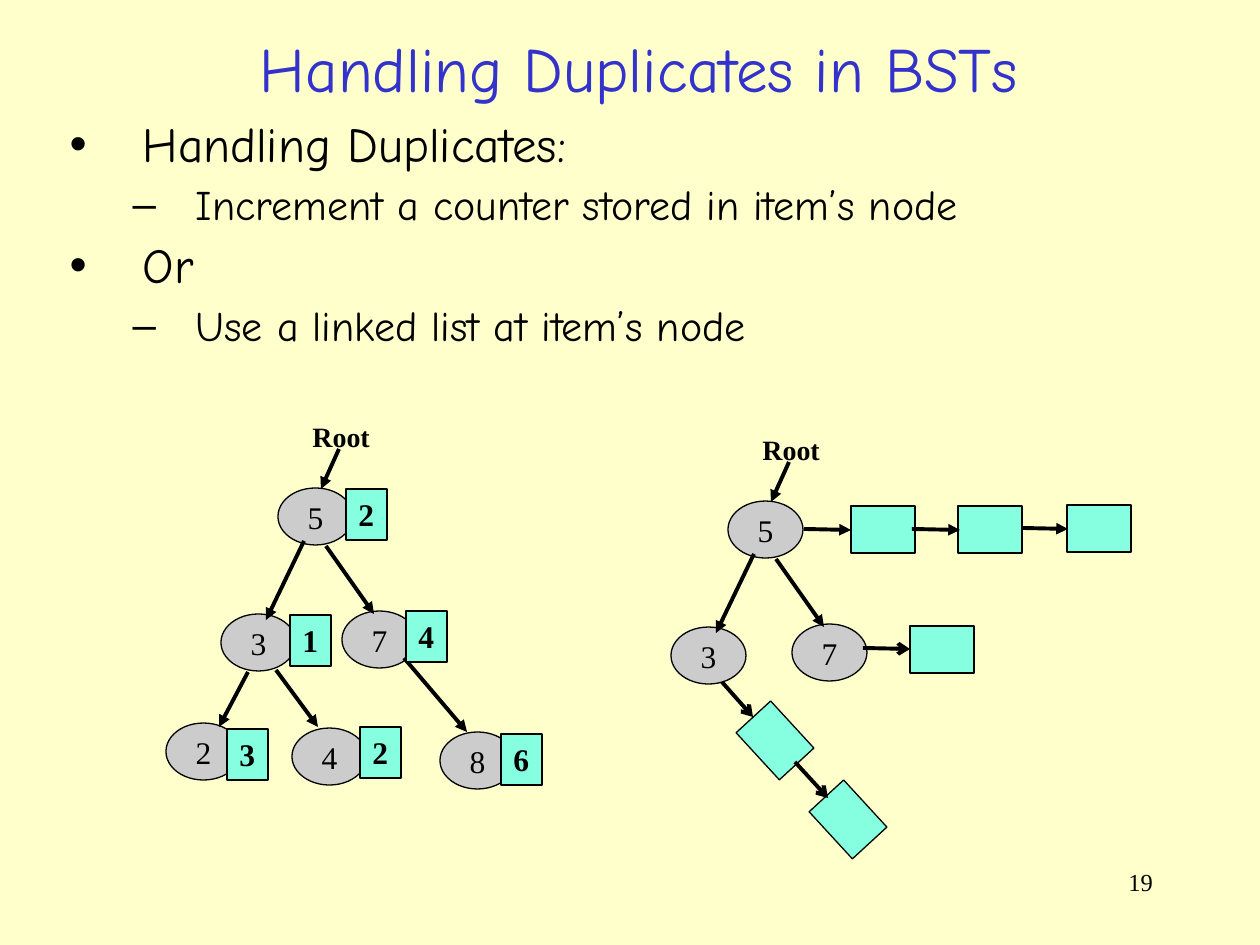
"""Build a slide on two ways to store duplicates in binary search trees."""
import pptx
import pptx.util
import pptx.dml.color
import pptx.enum.shapes
import pptx.enum.text
import pptx.oxml
import pptx.oxml.ns

COLORS = {"back": "FFFFCC", "title": "3333CC", "ink": "000000",
          "node": "CCCCCC", "box": "85FFE0"}
SHAPE = pptx.enum.shapes.MSO_SHAPE
ALIGN = pptx.enum.text.PP_ALIGN
ANCHOR = pptx.enum.text.MSO_ANCHOR
FIT = pptx.enum.text.MSO_AUTO_SIZE
HEAD, SERIF = "Comic Neue", "Times New Roman"


def px(n):
    """Turn pixels into EMU."""
    return pptx.util.Emu(round(n * 914400 / 126))


def rgb(name):
    """Look up a named colour."""
    return pptx.dml.color.RGBColor.from_string(COLORS[name])


def apply(obj, values):
    """Set every attribute in a dict."""
    for name, value in values.items():
        setattr(obj, name, value)


def element(parent, tag, **attrs):
    """Append a DrawingML element."""
    el = pptx.oxml.parse_xml(f"<{tag} {pptx.oxml.ns.nsdecls('a')}/>")
    for name, value in attrs.items():
        el.set(name, value)
    parent.append(el)
    return el


class Deck:
    """Hold the style and the current slide."""

    def __init__(self):
        """Open a presentation with one titled slide."""
        self.prs = pptx.Presentation()
        apply(self.prs, {"slide_width": px(1260), "slide_height": px(945)})
        self.s = self.prs.slides.add_slide(self.prs.slide_layouts[1])
        fill = self.s.background.fill
        fill.solid()
        fill.fore_color.rgb = rgb("back")

    def place(self, sp, x, y, w, h):
        """Position a shape."""
        apply(sp, {"left": px(x), "top": px(y), "width": px(w), "height": px(h)})

    def run(self, p, text, size, font=SERIF, color="ink", bold=False):
        """Add a formatted run."""
        r = p.add_run()
        r.text = text
        apply(r.font, {"size": pptx.util.Pt(size), "name": font, "bold": bold})
        r.font.color.rgb = rgb(color)

    def title(self, text, *at):
        """Fill the title placeholder."""
        sp = self.s.shapes.title
        self.place(sp, *at)
        tf = sp.text_frame
        apply(tf, {"vertical_anchor": ANCHOR.MIDDLE, "auto_size": FIT.NONE})
        tf.paragraphs[0].alignment = ALIGN.CENTER
        self.run(tf.paragraphs[0], text, 36, HEAD, "title")

    def bullets(self, items, *at):
        """Fill the body placeholder with two-level bullets."""
        levels = [{"char": "•", "size": 28, "margin": 73, "hang": 73, "before": 7},
                  {"char": "–", "size": 24, "margin": 126, "hang": 63, "before": 6}]
        sp = self.s.placeholders[1]
        self.place(sp, *at)
        tf = sp.text_frame
        apply(tf, {"vertical_anchor": ANCHOR.TOP, "auto_size": FIT.NONE})
        for i, (level, text) in enumerate(items):
            look = levels[level]
            p = tf.add_paragraph() if i else tf.paragraphs[0]
            pPr = p._p.get_or_add_pPr()
            pPr.set("marL", str(px(look["margin"])))
            pPr.set("indent", str(-px(look["hang"])))
            element(element(pPr, "a:buClr"), "a:srgbClr", val=COLORS["ink"])
            element(pPr, "a:buChar", char=look["char"])
            apply(p, {"level": level, "line_spacing": 0.9, "alignment": ALIGN.LEFT,
                      "space_before": pptx.util.Pt(look["before"] if i else 0)})
            self.run(p, text, look["size"], HEAD)

    def label(self, text, size, bold, align, *at):
        """Add a one-line text box without a right inset."""
        tf = self.s.shapes.add_textbox(*map(px, at)).text_frame
        apply(tf, {"word_wrap": True, "margin_right": 0, "auto_size": FIT.NONE})
        tf.paragraphs[0].alignment = align
        self.run(tf.paragraphs[0], text, size, bold=bold)

    def shape(self, kind, color, *at):
        """Add a filled, outlined shape."""
        sp = self.s.shapes.add_shape(kind, *map(px, at))
        sp.shadow.inherit = False
        sp.fill.solid()
        sp.fill.fore_color.rgb = rgb(color)
        sp.line.color.rgb = rgb("ink")
        sp.line.width = pptx.util.Pt(0.75)
        return sp

    def node(self, key, x, y):
        """Add a tree node."""
        tf = self.shape(SHAPE.OVAL, "node", x, y, 75, 57).text_frame
        apply(tf, {"word_wrap": False, "vertical_anchor": ANCHOR.MIDDLE})
        tf.paragraphs[0].alignment = ALIGN.CENTER
        self.run(tf.paragraphs[0], key, 18)

    def counter(self, count, x, y):
        """Add a duplicate counter."""
        tf = self.shape(SHAPE.RECTANGLE, "box", x, y, 41, 51).text_frame
        apply(tf, {"word_wrap": False, "vertical_anchor": ANCHOR.TOP})
        tf.paragraphs[0].alignment = ALIGN.LEFT
        self.run(tf.paragraphs[0], count, 18, bold=True)

    def item(self, x, y, angle=0):
        """Add a linked list item."""
        self.shape(SHAPE.RECTANGLE, "box", x, y, 64, 47).rotation = angle

    def arrow(self, x1, y1, x2, y2, head="triangle"):
        """Add an arrow."""
        kind = pptx.enum.shapes.MSO_CONNECTOR.STRAIGHT
        sp = self.s.shapes.add_connector(kind, *map(px, (x1, y1, x2, y2)))
        sp.line.color.rgb = rgb("ink")
        sp.line.width = pptx.util.Pt(2.25)
        element(sp.line._get_or_add_ln(), "a:tailEnd", type=head)
        element(sp._element.spPr, "a:effectLst")

    def tree_top(self, dx, dy):
        """Add the root, its two children and their arrows."""
        for key, x, y in [("5", 278, 488), ("3", 221, 614), ("7", 342, 611)]:
            self.node(key, x + dx, y + dy)
        for x1, y1, x2, y2 in [(304, 541, 266, 620), (326, 546, 374, 614),
                               (339, 449, 321, 489)]:
            self.arrow(x1 + dx, y1 + dy, x2 + dx, y2 + dy)
        self.label("Root", 16, True, ALIGN.LEFT, 300 + dx, 413 + dy, 82, 47)


def main():
    """Build and save the slide."""
    deck = Deck()
    deck.label("19", 14, False, ALIGN.RIGHT, 903, 861, 250, 63)
    deck.title("Handling Duplicates in BSTs", 38, 19, 1202, 96)
    deck.bullets([(0, "Handling Duplicates:"),
                  (1, "Increment a counter stored in item’s node"),
                  (0, "Or"),
                  (1, "Use a linked list at item’s node")], 57, 114, 1162, 276)

    deck.tree_top(0, 0)
    for leaf in [("2", 166, 723), ("4", 292, 728), ("8", 440, 732)]:
        deck.node(*leaf)
    for edge in [(248, 672, 219, 727), (276, 670, 318, 727), (404, 658, 467, 732)]:
        deck.arrow(*edge)
    for counter in [("2", 346, 489), ("1", 290, 615), ("4", 406, 611),
                    ("3", 227, 729), ("2", 360, 727), ("6", 501, 734)]:
        deck.counter(*counter)

    deck.tree_top(450, 13)
    for item in [(851, 506), (958, 506), (1067, 505), (910, 626),
                 (743, 717, 47.4), (816, 796, 47.4)]:
        deck.item(*item)
    for link in [(804, 529, 851, 530), (912, 529, 960, 530), (1022, 528, 1068, 529),
                 (863, 648, 910, 649, "arrow"), (722, 682, 753, 717, "arrow"),
                 (795, 762, 828, 798, "arrow")]:
        deck.arrow(*link)
    deck.prs.save("out.pptx")


if __name__ == "__main__":
    main()
